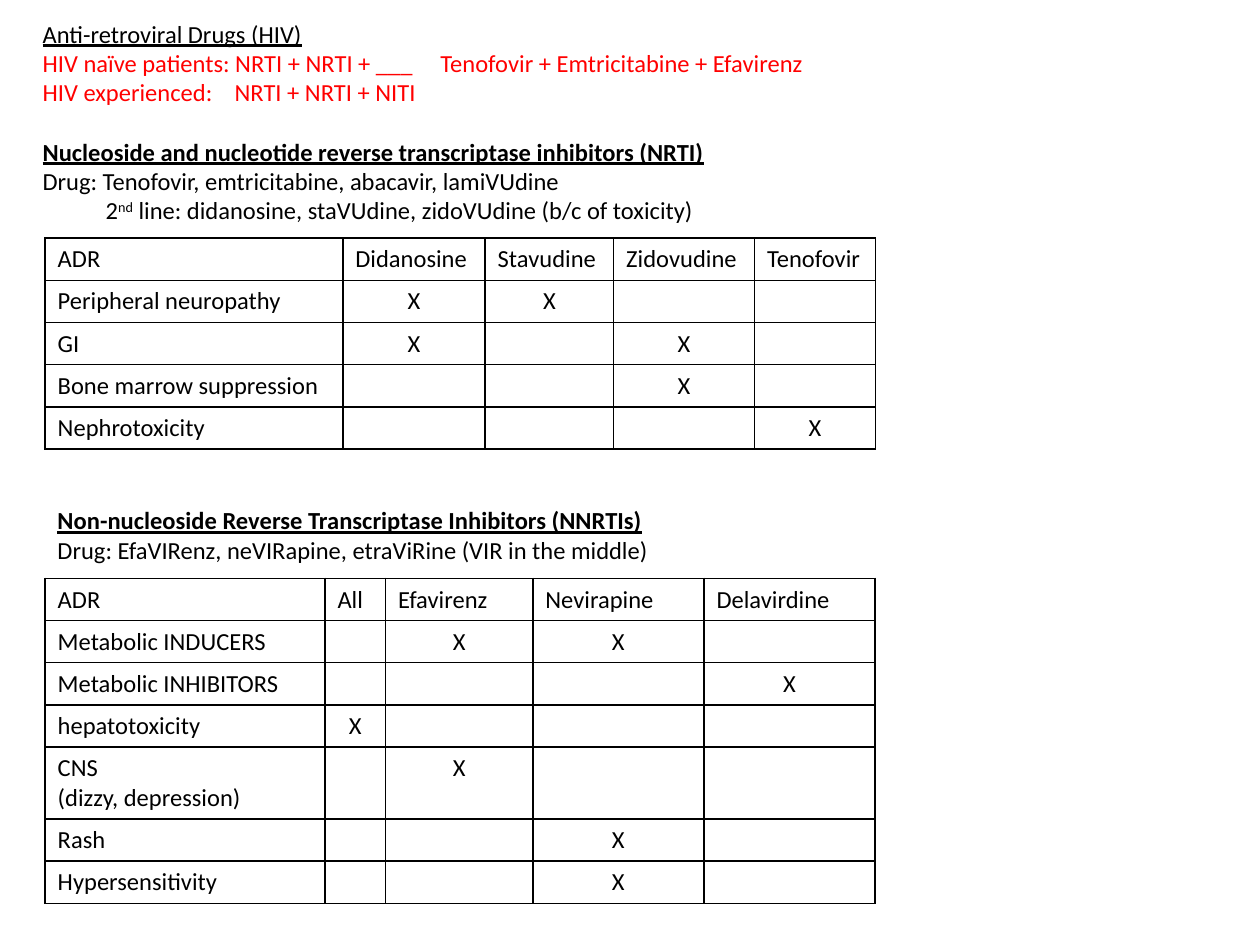
from dataclasses import dataclass

from lxml import etree
from pptx import Presentation
from pptx.dml.color import RGBColor
from pptx.enum import text
from pptx.oxml import ns
from pptx.util import Cm, Pt


@dataclass(frozen=True)
class Theme:
    face: str = "Calibri"
    size: int = 14
    ink: str = "000000"
    alert: str = "FF0000"
    rule: float = 1
    row: float = 0.85
    line: float = 0.6


class Sheet:
    """Holds the theme and the current slide."""

    def __init__(self, slide, theme):
        self.slide, self.theme = slide, theme

    def style(self, para, color=None, bold=False, under=False):
        font = para.font
        font.name, font.size = self.theme.face, Pt(self.theme.size)
        font.bold, font.underline = bold, under
        font.color.rgb = RGBColor.from_string(color or self.theme.ink)

    def note(self, x, y, w, h, lines):
        """Add a text box; each line is (parts, options), odd parts raised."""
        frame = self.slide.shapes.add_textbox(Cm(x), Cm(y), Cm(w), Cm(h)).text_frame
        frame.word_wrap = True
        for i, (parts, opts) in enumerate(lines):
            para = frame.paragraphs[0] if i == 0 else frame.add_paragraph()
            self.line(para, parts, **opts)

    def line(self, para, parts, gap=0, indent=0, tab=0, **look):
        if gap:
            para.space_before = Pt(gap)
        props = para._p.get_or_add_pPr()
        if indent:
            props.set("marL", str(Cm(indent)))
        if tab:
            stops = etree.SubElement(props, ns.qn("a:tabLst"))
            etree.SubElement(stops, ns.qn("a:tab"), pos=str(Cm(tab)), algn="l")
        self.style(para, **look)
        for i, part in enumerate(parts):
            run = para.add_run()
            run.text = part
            if i % 2:
                run.font._element.set("baseline", "30000")

    def grid(self, x, y, widths, heads, rows):
        """Add a table; each row is a label and one mark per drug, '.' for none."""
        cells = [["ADR", *heads]]
        cells += [[label, *marks.replace(".", " ")] for label, marks in rows]
        highs = [self.theme.row + self.theme.line * row[0].count("\n") for row in cells]
        table = self.slide.shapes.add_table(
            len(cells), len(widths), Cm(x), Cm(y), Cm(sum(widths)), Cm(sum(highs))
        ).table
        table.first_row = table.horz_banding = False
        for col, width in zip(table.columns, widths):
            col.width = Cm(width)
        for r, (row, high) in enumerate(zip(cells, highs)):
            table.rows[r].height = Cm(high)
            for c, words in enumerate(row):
                self.cell(table.cell(r, c), words.strip(), r > 0 and c > 0)

    def cell(self, cell, words, mark):
        cell.text = words
        self.frame(cell)
        cell.fill.background()
        for para in cell.text_frame.paragraphs:
            if mark:
                para.alignment = text.PP_ALIGN.CENTER
            self.style(para)
            if not words:
                etree.SubElement(
                    para._p, ns.qn("a:endParaRPr"), sz=str(self.theme.size * 100)
                )

    def frame(self, cell):
        """Draw the four borders of a cell."""
        props = cell._tc.get_or_add_tcPr()
        for side in ("lnL", "lnR", "lnT", "lnB"):
            edge = etree.SubElement(
                props, ns.qn(f"a:{side}"), w=str(Pt(self.theme.rule))
            )
            fill = etree.SubElement(edge, ns.qn("a:solidFill"))
            etree.SubElement(fill, ns.qn("a:srgbClr"), val=self.theme.ink)


def main():
    deck = Presentation()
    deck.slide_width, deck.slide_height = Cm(25.4), Cm(19.05)
    theme = Theme()
    sheet = Sheet(deck.slides.add_slide(deck.slide_layouts[6]), theme)
    head = {"bold": True, "under": True}

    sheet.note(0.61, 0.25, 23.72, 4.45, [
        (["Anti-retroviral Drugs (HIV)"], {"under": True}),
        (["HIV naïve patients: NRTI + NRTI + ___\tTenofovir + Emtricitabine + Efavirenz"],
         {"color": theme.alert, "tab": 8.02}),
        (["HIV experienced:\tNRTI + NRTI + NITI"], {"color": theme.alert, "tab": 3.87}),
        (["Nucleoside and nucleotide reverse transcriptase inhibitors (NRTI)"],
         {"gap": 17, **head}),
        (["Drug: Tenofovir, emtricitabine, abacavir, lamiVUdine"], {}),
        (["2", "nd", " line: didanosine, staVUdine, zidoVUdine (b/c of toxicity)"],
         {"indent": 1.27}),
    ])
    sheet.grid(
        0.91, 4.8, [6, 2.87, 2.59, 2.84, 2.44],
        ["Didanosine", "Stavudine", "Zidovudine", "Tenofovir"],
        [
            ("Peripheral neuropathy", "XX.."),
            ("GI", "X.X."),
            ("Bone marrow suppression", "..X."),
            ("Nephrotoxicity", "...X"),
        ],
    )

    sheet.note(0.91, 10.06, 12.68, 1.45, [
        (["Non-nucleoside Reverse Transcriptase Inhibitors (NNRTIs)"], head),
        (["Drug: EfaVIRenz, neVIRapine, etraViRine (VIR in the middle)"], {}),
    ])
    sheet.grid(
        0.91, 11.66, [5.64, 1.22, 2.97, 3.45, 3.45],
        ["All", "Efavirenz", "Nevirapine", "Delavirdine"],
        [
            ("Metabolic INDUCERS", ".XX."),
            ("Metabolic INHIBITORS", "...X"),
            ("hepatotoxicity", "X..."),
            ("CNS\n(dizzy, depression)", ".X.."),
            ("Rash", "..X."),
            ("Hypersensitivity", "..X."),
        ],
    )
    deck.save("out.pptx")


if __name__ == "__main__":
    main()
